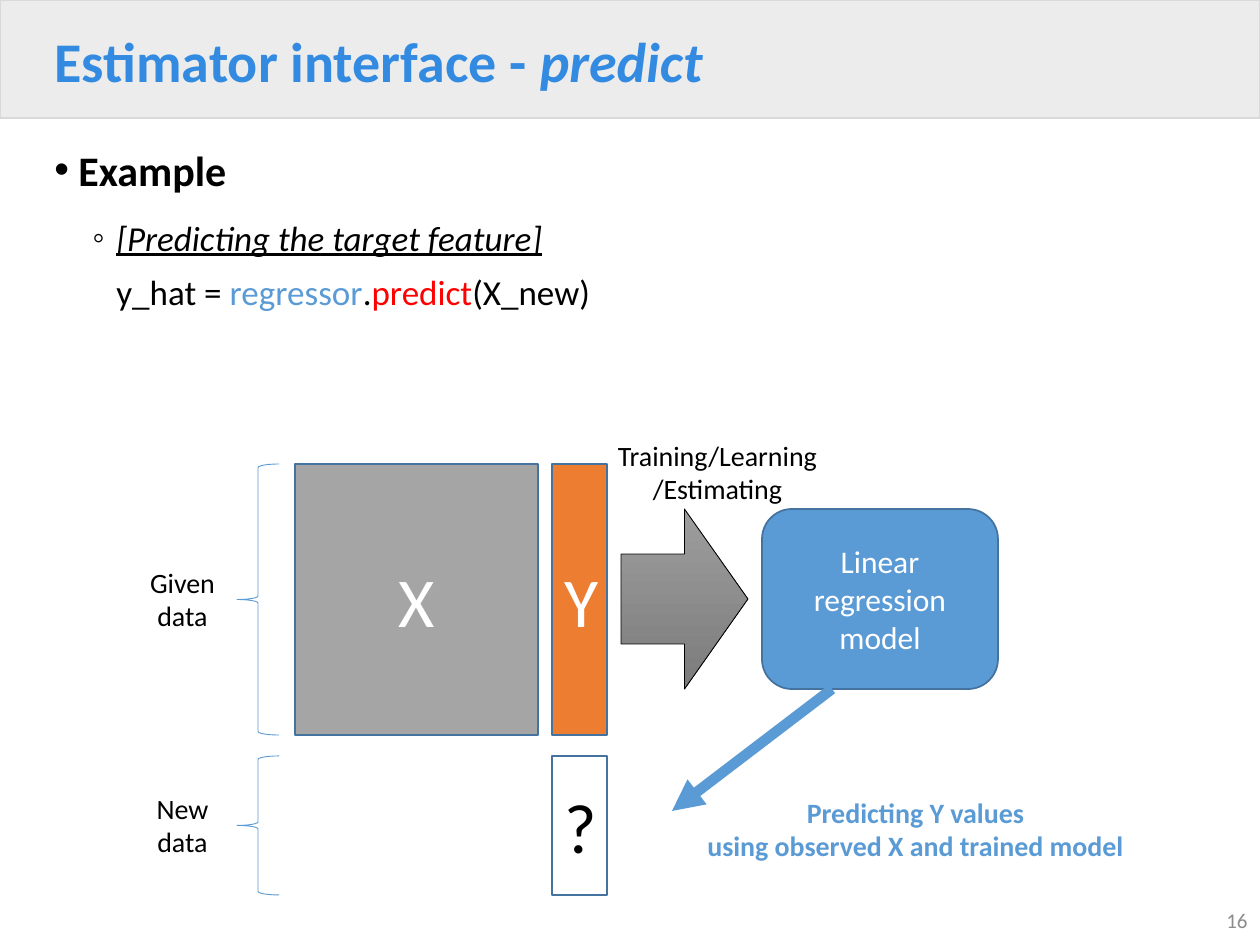
from dataclasses import dataclass

from lxml.etree import SubElement
from pptx import Presentation
from pptx.dml.color import RGBColor
from pptx.enum.shapes import MSO_CONNECTOR, MSO_SHAPE as SHAPE
from pptx.enum.text import MSO_ANCHOR as ANCHOR, MSO_AUTO_SIZE as AUTO, PP_ALIGN as ALIGN
from pptx.oxml.ns import qn
from pptx.util import Pt

EMU_PER_PX = 914400 / 126


@dataclass(frozen=True)
class Theme:
    """Colours, font and type sizes of the slide."""
    font: str = "Calibri"
    title: str = "338AE1"
    band: str = "ECECEC"
    band_line: str = "D9D9D9"
    black: str = "000000"
    white: str = "FFFFFF"
    red: str = "FF0000"
    blue: str = "5B9BD5"
    outline: str = "43739E"
    gray: str = "A5A5A5"
    orange: str = "ED7D31"
    number: str = "8C8C8C"
    arrow: tuple = ("9D9D9D", "7C7C7C")
    title_size: int = 32
    head_size: int = 24
    body_size: int = 20
    model_size: int = 18
    label_size: int = 16
    number_size: int = 12
    symbol_size: int = 40


T = Theme()


def px(n):
    """Turn pixels into EMU."""
    return round(n * EMU_PER_PX)


def rgb(color):
    """Turn a hex string into a colour."""
    return RGBColor.from_string(color)


def add_text(p, text, size=T.label_size, color=T.black, bold=False, italic=False, underline=False):
    """Append formatted text to a paragraph, with a line break at each newline."""
    for i, line in enumerate(text.split("\n")):
        if i:
            p.add_line_break()
        if line:
            r = p.add_run()
            r.text = line
            f = r.font
            f.name, f.size, f.bold, f.italic, f.underline = T.font, Pt(size), bold, italic, underline
            f.color.rgb = rgb(color)


def add_label(slide, box, text, align=ALIGN.CENTER, anchor=ANCHOR.TOP, **fmt):
    """Add an unwrapped text box."""
    tf = slide.shapes.add_textbox(*map(px, box)).text_frame
    tf.word_wrap, tf.vertical_anchor = False, anchor
    p = tf.paragraphs[0]
    p.alignment = align
    add_text(p, text, **fmt)


def add_block(slide, kind, box, fill=None, line=T.outline, width=1, text="", **fmt):
    """Add a preset shape with optional fill and centred text."""
    sp = slide.shapes.add_shape(kind, *map(px, box))
    sp.shadow.inherit = False
    if fill is None:
        sp.fill.background()
    elif isinstance(fill, tuple):
        sp.fill.gradient()
        sp.fill.gradient_angle = 270
        for stop, color in zip(sp.fill.gradient_stops, fill):
            stop.color.rgb = rgb(color)
    else:
        sp.fill.solid()
        sp.fill.fore_color.rgb = rgb(fill)
    sp.line.color.rgb = rgb(line)
    sp.line.width = Pt(width)
    if text:
        tf = sp.text_frame
        tf.vertical_anchor = ANCHOR.MIDDLE
        p = tf.paragraphs[0]
        p.alignment = ALIGN.CENTER
        add_text(p, text, **fmt)
    return sp


def add_arrow(slide, start, end, color, width):
    """Add a straight line with an arrowhead at its end."""
    cx = slide.shapes.add_connector(MSO_CONNECTOR.STRAIGHT, *map(px, start + end))
    cx.line.color.rgb = rgb(color)
    cx.line.width = Pt(width)
    SubElement(cx.line._get_or_add_ln(), qn("a:tailEnd"), type="triangle")
    SubElement(cx._element.spPr, qn("a:effectLst"))


def add_bullet(p, char, margin, hang, before):
    """Give a paragraph a bullet, a hanging indent and its spacing."""
    p.line_spacing, p.space_before = 1.3, Pt(before)
    pPr = p._p.get_or_add_pPr()
    pPr.set("marL", str(px(margin)))
    pPr.set("indent", str(-px(hang)))
    SubElement(pPr, qn("a:buFont"), typeface="Arial")
    SubElement(pPr, qn("a:buChar"), char=char)


def add_header(slide):
    """Add the title on its band."""
    band = add_block(slide, SHAPE.RECTANGLE, (0, 0, 1260, 118), T.band, T.band_line, 0.75)
    slide.shapes._spTree.insert(2, band._element)
    title = slide.shapes.title
    title.left, title.top, title.width, title.height = map(px, (42, 11, 1182, 106))
    tf = title.text_frame
    tf.auto_size, tf.vertical_anchor = AUTO.NONE, ANCHOR.MIDDLE
    p = tf.paragraphs[0]
    p.alignment, p.line_spacing = ALIGN.LEFT, 0.9
    fmt = dict(size=T.title_size, color=T.title, bold=True)
    add_text(p, "Estimator interface - ", **fmt)
    add_text(p, "predict", italic=True, **fmt)


def add_body(slide):
    """Add the bulleted example with its line of code."""
    tf = slide.shapes.add_textbox(*map(px, (42, 123, 1182, 750))).text_frame
    tf.word_wrap = True
    p = tf.paragraphs[0]
    add_bullet(p, "•", 24, 24, 10)
    add_text(p, "Example", size=T.head_size, bold=True)
    p = tf.add_paragraph()
    p.level = 1
    add_bullet(p, "◦", 62, 24, 5)
    add_text(p, "[Predicting the target feature]\n", size=T.body_size, italic=True, underline=True)
    code = [("y_hat = ", T.black), ("regressor", T.blue), (".", T.black),
            ("predict", T.red), ("(X_new)", T.black)]
    for text, color in code:
        add_text(p, text, size=T.body_size, color=color)


def add_diagram(slide):
    """Add the data blocks, the model and the steps between them."""
    given_top, given_h = 464, 271
    new_top, new_h = 756, 139
    symbol = dict(size=T.symbol_size)
    add_block(slide, SHAPE.RECTANGLE, (295, given_top, 243, given_h), T.gray,
              text="X", color=T.white, **symbol)
    add_block(slide, SHAPE.RECTANGLE, (552, given_top, 55, given_h), T.orange,
              text="Y", color=T.white, **symbol)
    add_block(slide, SHAPE.RECTANGLE, (552, new_top, 55, new_h), text="?", **symbol)
    for top, height, label in ((given_top, given_h, "Given\ndata"), (new_top, new_h, "New\ndata")):
        add_block(slide, SHAPE.LEFT_BRACE, (237, top, 42, height), line=T.blue, width=0.5)
        add_label(slide, (137, top + height // 2 - 40, 91, 81), label)
    add_block(slide, SHAPE.RIGHT_ARROW, (621, 509, 127, 180), T.arrow, T.black, 0.5)
    add_block(slide, SHAPE.ROUNDED_RECTANGLE, (762, 509, 236, 180), T.blue,
              text="Linear regression model", size=T.model_size, color=T.white)
    add_label(slide, (604, 432, 227, 81), "Training/Learning\n/Estimating")
    add_arrow(slide, (832, 689), (672, 811), T.blue, 6)
    add_label(slide, (692, 789, 447, 81), "Predicting Y values\nusing observed X and trained model",
              color=T.blue, bold=True)


def main():
    """Build and save the slide."""
    prs = Presentation()
    prs.slide_width, prs.slide_height = px(1260), px(945)
    slide = prs.slides.add_slide(prs.slide_layouts[5])
    add_header(slide)
    add_body(slide)
    add_label(slide, (977, 895, 283, 50), "16", ALIGN.RIGHT, ANCHOR.MIDDLE,
              size=T.number_size, color=T.number)
    add_diagram(slide)
    prs.save("out.pptx")


if __name__ == "__main__":
    main()
